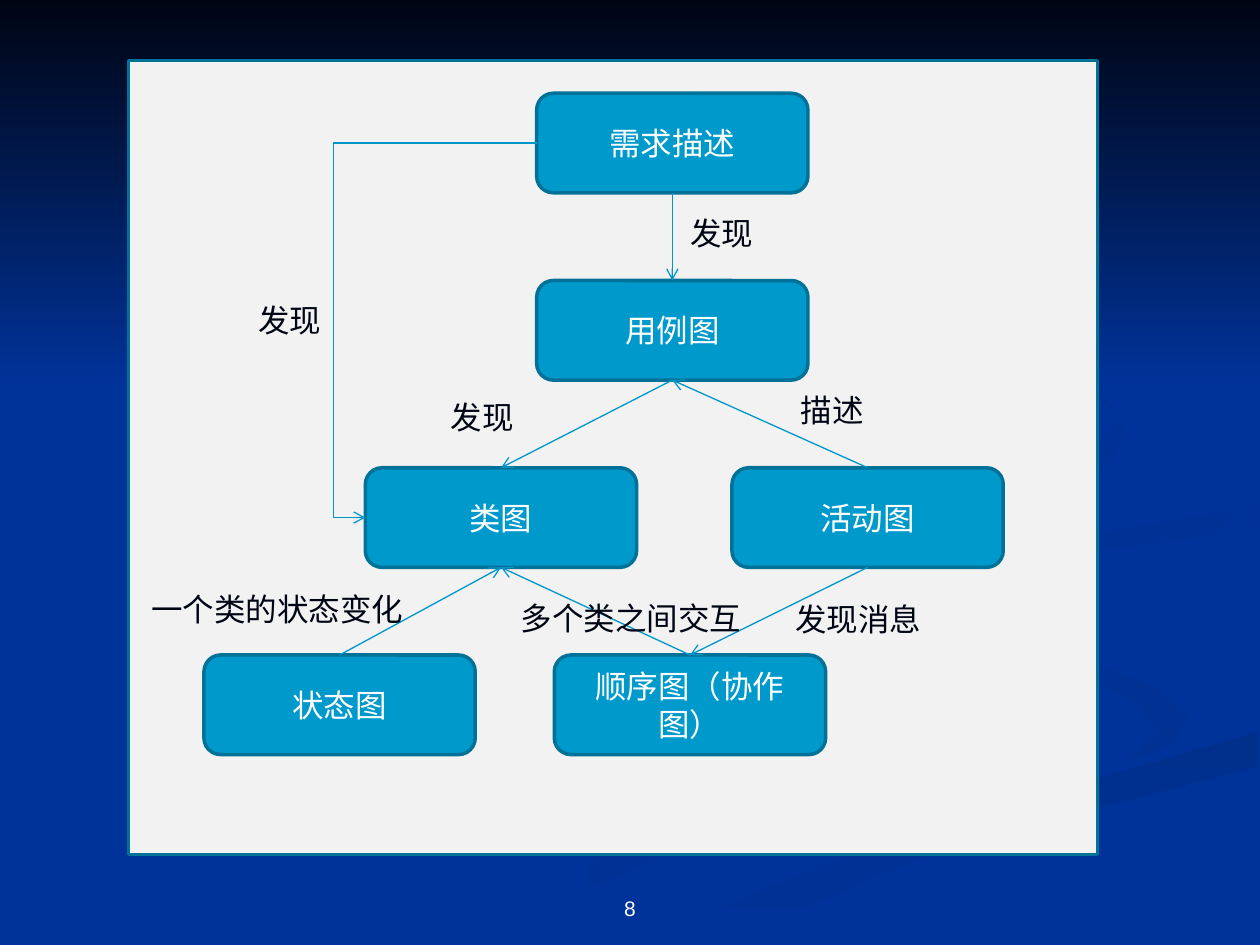
from lxml import etree
from pptx import Presentation
from pptx.dml.color import RGBColor
from pptx.enum.shapes import MSO_CONNECTOR, MSO_SHAPE
from pptx.enum.text import MSO_ANCHOR, PP_ALIGN
from pptx.oxml.ns import qn
from pptx.util import Pt

RECT, ROUND = MSO_SHAPE.RECTANGLE, MSO_SHAPE.ROUNDED_RECTANGLE
LINE, ELBOW = MSO_CONNECTOR.STRAIGHT, MSO_CONNECTOR.ELBOW
CENTER, MIDDLE, BOTTOM = PP_ALIGN.CENTER, MSO_ANCHOR.MIDDLE, MSO_ANCHOR.BOTTOM
TOP, LEFT, BASE = 0, 1, 2  # connection sites
BLUE, EDGE, WHITE, INK = "0099CC", "007197", "FFFFFF", "000514"
GROUND = "003399"
SERIF = "Times New Roman"

# Swirls behind the panel: first colour, last colour, angle, outline
SWIRLS = [
    (GROUND, "003193", 0, [(413, 331), (562, 398), (576, 418), (406, 479),
                           (260, 539), (216, 539), (417, 460), (566, 408)]),
    (GROUND, "003193", 45, [(521, 334), (662, 394), (679, 410), (671, 424),
                            (644, 436), (661, 418), (648, 401)]),
    ("002F8C", GROUND, 90, [(362, 539), (501, 482), (719, 418), (719, 438),
                            (541, 484), (411, 539)]),
    ("003091", GROUND, 45, [(562, 331), (611, 307), (719, 289), (719, 302),
                            (618, 316)]),
    ("002F8E", GROUND, 45, [(549, 168), (609, 201), (640, 241), (613, 269),
                            (415, 333), (624, 276), (644, 248), (622, 210)]),
]

# Diagram parts, relative to the panel
NODE_W, NODE_H = 155, 56.9
ROW_TOP, ROW_GAP = 18.7, 107
NODES = [  # text, left, row
    ("需求描述", 233.3, 0),
    ("用例图", 233.3, 1),
    ("类图", 135.4, 2),
    ("活动图", 344.9, 2),
    ("状态图", 43.2, 3),
    ("顺序图（协作图）", 243.4, 3),
]
# Each arrow points from the first node to the second
ARROWS = [
    ("需求描述", BASE, "用例图", TOP),
    ("活动图", TOP, "用例图", BASE),
    ("用例图", BASE, "类图", TOP),
    ("顺序图（协作图）", TOP, "类图", BASE),
    ("状态图", TOP, "类图", BASE),
    ("活动图", BASE, "顺序图（协作图）", TOP),
    ("需求描述", LEFT, "类图", LEFT),
]
LABELS = [
    ("发现", 314, 84),
    ("发现", 177, 189.4),
    ("发现", 67, 134),
    ("描述", 377, 185),
    ("一个类的状态变化", 6, 299),
    ("多个类之间交互", 217, 304),
    ("发现消息", 374, 305),
]


def color(code):
    return RGBColor.from_string(code)


def blend(shape, first, last, angle):
    shape.shadow.inherit = False
    shape.line.fill.background()
    shape.fill.gradient()
    shape.fill.gradient_angle = (360 - angle) % 360
    for stop, code, spot in zip(shape.fill.gradient_stops, (first, last), (0, 1)):
        stop.color.rgb = color(code)
        stop.position = spot


def block(slide, kind, x, y, w, h, fill):
    shape = slide.shapes.add_shape(kind, Pt(x), Pt(y), Pt(w), Pt(h))
    shape.shadow.inherit = False
    shape.fill.solid()
    shape.fill.fore_color.rgb = color(fill)
    shape.line.color.rgb = color(EDGE)
    shape.line.width = Pt(2)
    return shape


def write(shape, text, size, face, code, align=None, anchor=None, wrap=True):
    frame = shape.text_frame
    frame.word_wrap = wrap
    frame.vertical_anchor = anchor
    para = frame.paragraphs[0]
    para.text = text
    para.alignment = align
    para.font.size = Pt(size)
    para.font.name = face
    para.font.color.rgb = color(code)


def arrow(slide, start, out, end, into):
    bent = out == into
    link = slide.shapes.add_connector(ELBOW if bent else LINE, 0, 0, 0, 0)
    link.begin_connect(start, out)
    link.end_connect(end, into)
    link.line.color.rgb = color("0096C8")
    link.line.width = Pt(0.75)
    props = link._element.spPr
    etree.SubElement(props.find(qn("a:ln")), qn("a:tailEnd"), type="arrow")
    etree.SubElement(props, qn("a:effectLst"))
    if bent:
        geom = props.find(qn("a:prstGeom"))
        guides = geom.find(qn("a:avLst"))
        if guides is None:
            guides = etree.SubElement(geom, qn("a:avLst"))
        etree.SubElement(guides, qn("a:gd"), name="adj1", fmla="val 118400")


def backdrop(slide, x, y, w, h):
    slide.background.fill.solid()
    slide.background.fill.fore_color.rgb = color(GROUND)
    for first, last, angle, dots in SWIRLS:
        spots = [(Pt(x + a), Pt(y + b)) for a, b in dots]
        pen = slide.shapes.build_freeform(*spots[0])
        pen.add_line_segments(spots[1:])
        blend(pen.convert_to_shape(), first, last, angle)
    sky = slide.shapes.add_shape(RECT, Pt(x), Pt(y), Pt(w), Pt(h * 0.41))
    blend(sky, INK, GROUND, 90)


def diagram(slide, x, y, w, h):
    block(slide, RECT, x, y, w, h, "F2F2F2")
    nodes = {}
    for text, left, row in NODES:
        top = y + ROW_TOP + row * ROW_GAP
        node = block(slide, ROUND, x + left, top, NODE_W, NODE_H, BLUE)
        write(node, text, 18, SERIF, WHITE, CENTER, MIDDLE)
        nodes[text] = node
    for start, out, end, into in ARROWS:
        arrow(slide, nodes[start], out, nodes[end], into)
    for text, left, top in LABELS:
        wide = 15.4 + 18 * len(text)
        label = slide.shapes.add_textbox(Pt(x + left), Pt(y + top), Pt(wide), Pt(29))
        write(label, text, 18, SERIF, INK, wrap=False)


def footer(slide, x, y, w, h):
    box = slide.shapes.add_textbox(Pt(x), Pt(y), Pt(w), Pt(h))
    write(box, "8", 12, "Arial", WHITE, CENTER, BOTTOM)


deck = Presentation()
deck.slide_width, deck.slide_height = Pt(720), Pt(540)
page = deck.slides.add_slide(deck.slide_layouts[6])
backdrop(page, 0, 0, 720, 540)
diagram(page, 73.4, 34.6, 553.7, 453.6)
footer(page, 246, 492, 228, 37.5)
deck.save("out.pptx")
